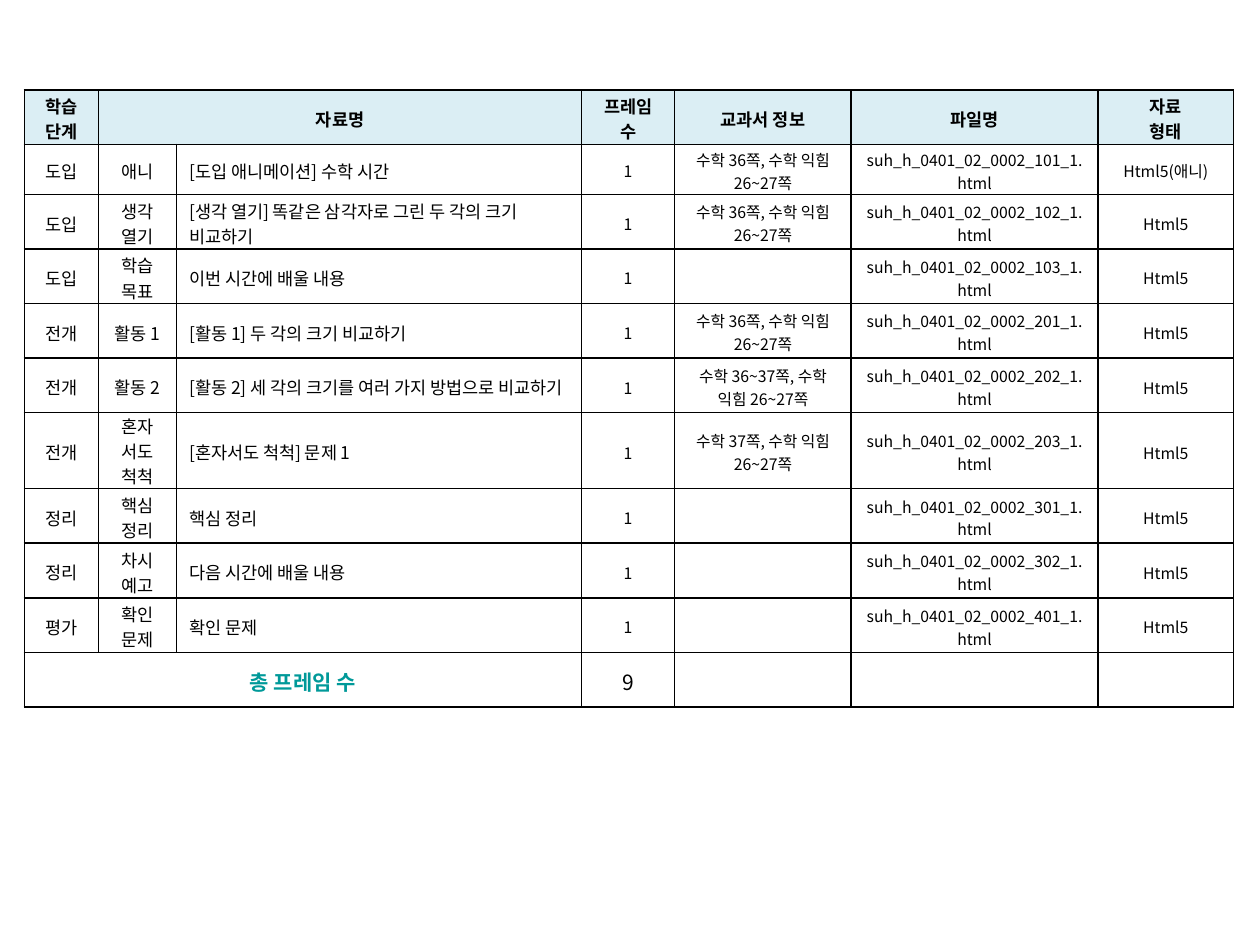
import pptx
import pptx.dml.color
import pptx.enum.text
import pptx.oxml
import pptx.oxml.ns
import pptx.util
from pptx.util import Cm

THEME = {
    "font": "Noto Sans CJK KR",
    "ink": "000000",
    "accent": "009999",
    "header_fill": "DBEEF4",
    "label_size": 10,
    "detail_size": 9,
    "total_size": 12,
    "border": 1,
}

HEADINGS = ["학습 단계", "자료명", "", "프레임 수", "교과서 정보", "파일명", "자료\n형태"]
LESSON_PAGES = "수학 36쪽, 수학 익힘 26~27쪽"
MATERIALS = [
    ("도입", "애니", "[도입 애니메이션] 수학 시간", LESSON_PAGES, "101", "Html5(애니)"),
    ("도입", "생각 열기", "[생각 열기] 똑같은 삼각자로 그린 두 각의 크기 비교하기", LESSON_PAGES, "102", "Html5"),
    ("도입", "학습 목표", "이번 시간에 배울 내용", "", "103", "Html5"),
    ("전개", "활동 1", "[활동 1] 두 각의 크기 비교하기", LESSON_PAGES, "201", "Html5"),
    ("전개", "활동 2", "[활동 2] 세 각의 크기를 여러 가지 방법으로 비교하기",
     "수학 36~37쪽, 수학 익힘 26~27쪽", "202", "Html5"),
    ("전개", "혼자\n서도\n척척", "[혼자서도 척척] 문제 1", "수학 37쪽, 수학 익힘 26~27쪽", "203", "Html5"),
    ("정리", "핵심 정리", "핵심 정리", "", "301", "Html5"),
    ("정리", "차시 예고", "다음 시간에 배울 내용", "", "302", "Html5"),
    ("평가", "확인 문제", "확인 문제", "", "401", "Html5"),
]
TOTAL = ["총 프레임 수", "", "", str(len(MATERIALS)), "", "", ""]

COLUMN_WIDTHS = [1.5, 1.57, 8.16, 1.88, 3.56, 4.97, 2.74]
ROW_HEIGHT = 1.1
SPECIAL_HEIGHTS = {1: 1.01, 6: 1.53}
TITLE_COLUMN = 2
FIRST_DETAIL_COLUMN = 3
TOP_MARGIN = 0.07
HEADING_SIDE_MARGIN = 0.28


def add_borders(cell):
    properties = cell._tc.get_or_add_tcPr()
    for side in ("lnL", "lnR", "lnT", "lnB"):
        properties.append(pptx.oxml.parse_xml(
            f'<a:{side} {pptx.oxml.ns.nsdecls("a")} w="{pptx.util.Pt(THEME["border"])}">'
            f'<a:solidFill><a:srgbClr val="{THEME["ink"]}"/></a:solidFill></a:{side}>'))


def write(cell, words, size, bold=False, color=THEME["ink"], centred=True):
    lines = words.split("\n")
    cell.vertical_anchor = pptx.enum.text.MSO_ANCHOR.MIDDLE
    cell.margin_top = Cm(TOP_MARGIN if len(lines) < 3 else 0)
    cell.margin_bottom = 0
    frame = cell.text_frame
    for index, line in enumerate(lines):
        paragraph = frame.add_paragraph() if index else frame.paragraphs[0]
        alignments = pptx.enum.text.PP_ALIGN
        paragraph.alignment = alignments.CENTER if centred else alignments.LEFT
        if not line:
            paragraph._p.append(pptx.oxml.parse_xml(
                f'<a:endParaRPr {pptx.oxml.ns.nsdecls("a")} sz="{size * 100}"/>'))
            continue
        run = paragraph.add_run()
        run.text = line
        run.font.size = pptx.util.Pt(size)
        run.font.bold = bold
        run.font.color.rgb = pptx.dml.color.RGBColor.from_string(color)
        run.font.name = THEME["font"]
        run.font._element.append(pptx.oxml.parse_xml(
            f'<a:ea {pptx.oxml.ns.nsdecls("a")} typeface="{THEME["font"]}"/>'))


def text_style(row, column, last_row):
    if row == 0:
        return {"size": THEME["label_size"], "bold": True}
    if row == last_row:
        if column == 0:
            return {"size": THEME["total_size"], "bold": True, "color": THEME["accent"]}
        is_count = column == FIRST_DETAIL_COLUMN
        return {"size": THEME["total_size" if is_count else "detail_size"]}
    is_label = column < FIRST_DETAIL_COLUMN
    return {"size": THEME["label_size" if is_label else "detail_size"],
            "centred": column != TITLE_COLUMN}


def main():
    deck = pptx.Presentation()
    deck.slide_width, deck.slide_height = Cm(25.4), Cm(19.05)
    slide = deck.slides.add_slide(deck.slide_layouts[6])

    lessons = [[stage, step, title, "1", pages, f"suh_h_0401_02_0002_{code}_1.html", form]
               for stage, step, title, pages, code, form in MATERIALS]
    rows = [HEADINGS, *lessons, TOTAL]
    last_row = len(rows) - 1
    heights = [SPECIAL_HEIGHTS.get(row, ROW_HEIGHT) for row in range(len(rows))]

    materials = slide.shapes.add_table(
        len(rows), len(COLUMN_WIDTHS), Cm(0.49), Cm(1.81),
        Cm(sum(COLUMN_WIDTHS)), Cm(sum(heights))).table
    materials.first_row = materials.horz_banding = False
    for column, width in zip(materials.columns, COLUMN_WIDTHS):
        column.width = Cm(width)
    for row, height in zip(materials.rows, heights):
        row.height = Cm(height)

    for row, entries in enumerate(rows):
        for column, words in enumerate(entries):
            cell = materials.cell(row, column)
            add_borders(cell)
            if row == 0:
                cell.fill.solid()
                cell.fill.fore_color.rgb = pptx.dml.color.RGBColor.from_string(THEME["header_fill"])
                cell.margin_left = cell.margin_right = Cm(HEADING_SIDE_MARGIN)
            else:
                cell.fill.background()
            write(cell, words, **text_style(row, column, last_row))

    materials.cell(0, 1).merge(materials.cell(0, 2))
    materials.cell(last_row, 0).merge(materials.cell(last_row, 2))
    deck.save("out.pptx")


if __name__ == "__main__":
    main()
